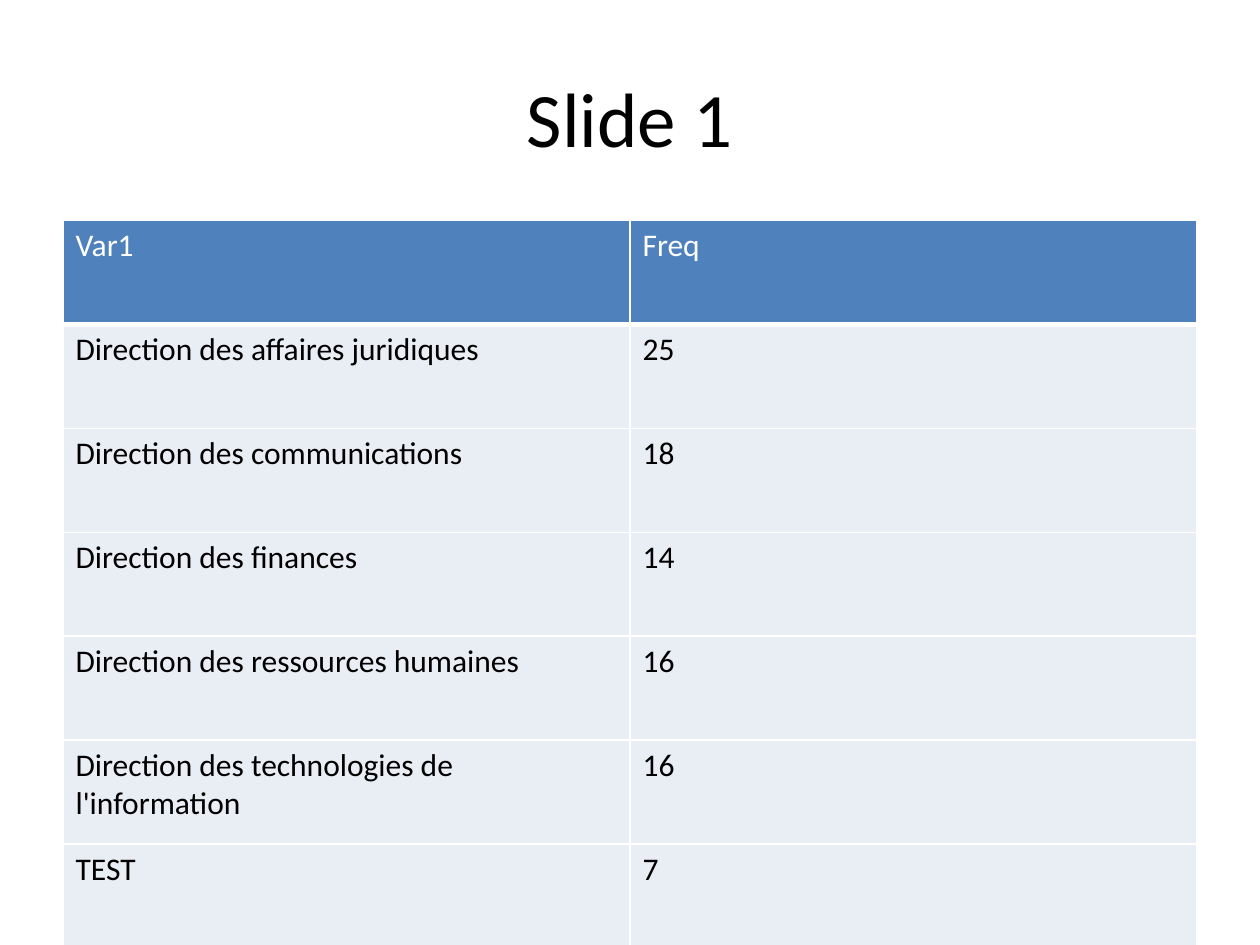
"""Build a slide with a frequency table by department."""
from dataclasses import dataclass

from lxml.etree import SubElement
from pptx import Presentation
from pptx.dml.color import RGBColor
from pptx.enum.text import MSO_ANCHOR, PP_ALIGN
from pptx.oxml.ns import qn
from pptx.util import Inches, Pt


@dataclass(frozen=True)
class Theme:
    font: str = "Calibri"
    title_size: int = 44
    cell_size: int = 18
    text: str = "000000"
    header_text: str = "FFFFFF"
    header_fill: str = "4F81BD"
    body_fill: str = "E9EDF4"
    border: str = "FFFFFF"
    border_width: int = 1
    header_rule_width: int = 3


@dataclass(frozen=True)
class Frequency:
    department: str
    count: str


THEME = Theme()
HEADER = Frequency("Var1", "Freq")
ROWS = [
    Frequency("Direction des affaires juridiques", "25"),
    Frequency("Direction des communications", "18"),
    Frequency("Direction des finances", "14"),
    Frequency("Direction des ressources humaines", "16"),
    Frequency("Direction des technologies de l'information", "16"),
    Frequency("TEST", "7"),
]


def add_text(para, text: str, size: int, color: str) -> None:
    span = para.add_run()
    span.text = text
    span.font.name = THEME.font
    span.font.size = Pt(size)
    span.font.color.rgb = RGBColor.from_string(color)


def add_border(cell, side: str, width: int) -> None:
    properties = cell._tc.get_or_add_tcPr()
    line = SubElement(properties, qn(f"a:ln{side}"), w=str(Pt(width)))
    fill = SubElement(line, qn("a:solidFill"))
    SubElement(fill, qn("a:srgbClr"), val=THEME.border)


def format_cell(cell, text: str, is_header: bool) -> None:
    for side in "LRTB":
        is_rule = is_header and side == "B"
        add_border(cell, side, THEME.header_rule_width if is_rule else THEME.border_width)
    cell.fill.solid()
    fill = THEME.header_fill if is_header else THEME.body_fill
    cell.fill.fore_color.rgb = RGBColor.from_string(fill)
    color = THEME.header_text if is_header else THEME.text
    add_text(cell.text_frame.paragraphs[0], text, THEME.cell_size, color)


def add_title(page, text: str) -> None:
    title = page.shapes.title
    title.left, title.top = Inches(0.5), Inches(0.3)
    title.width, title.height = Inches(9), Inches(1.25)
    title.text_frame.vertical_anchor = MSO_ANCHOR.MIDDLE
    para = title.text_frame.paragraphs[0]
    para.alignment = PP_ALIGN.CENTER
    add_text(para, text, THEME.title_size, THEME.text)


def add_frequency_table(page, rows: list[Frequency]) -> None:
    row_height = Inches(4.95) // len(rows)
    records = [HEADER, *rows]
    table = page.shapes.add_table(
        len(records), 2, Inches(0.5), Inches(1.75),
        Inches(9), row_height * len(records),
    ).table
    for index, record in enumerate(records):
        table.rows[index].height = row_height
        for column, text in enumerate((record.department, record.count)):
            format_cell(table.cell(index, column), text, index == 0)


def main() -> None:
    deck = Presentation()
    deck.slide_width, deck.slide_height = Inches(10), Inches(7.5)
    page = deck.slides.add_slide(deck.slide_layouts.get_by_name("Title Only"))
    add_title(page, "Slide 1")
    add_frequency_table(page, ROWS)
    deck.save("out.pptx")


main()
